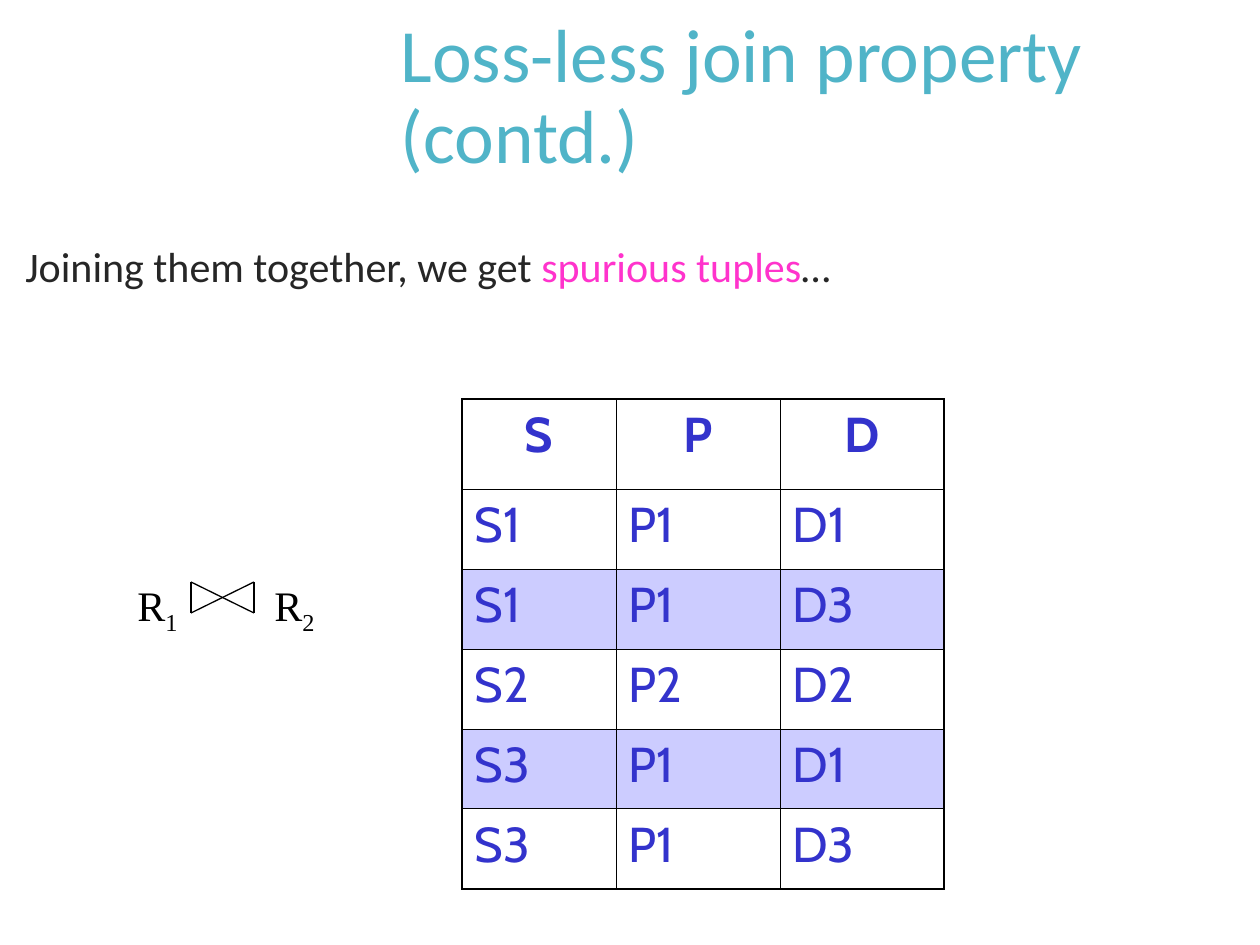
import dataclasses

import pptx
import pptx.dml.color
import pptx.enum.shapes
import pptx.enum.text
import pptx.oxml
import pptx.oxml.ns
import pptx.util

EMU_PER_PX = 914400 / 126
BLACK = "000000"
INK = "262626"
NAVY = "3333CC"
LILAC = "CCCCFF"
OUTER_BORDER, INNER_BORDER = 1.08, 0.45


@dataclasses.dataclass(frozen=True)
class Span:
    text: str
    font: str
    size: int
    color: str
    bold: bool = False
    baseline: int = 0


@dataclasses.dataclass(frozen=True)
class Stroke:
    x1: int
    y1: int
    x2: int
    y2: int


@dataclasses.dataclass(frozen=True)
class JoinRow:
    values: tuple[str, str, str]
    header: bool = False
    spurious: bool = False


JOIN_ROWS = (
    JoinRow(("S", "P", "D"), header=True),
    JoinRow(("S1", "P1", "D1")),
    JoinRow(("S1", "P1", "D3"), spurious=True),
    JoinRow(("S2", "P2", "D2")),
    JoinRow(("S3", "P1", "D1"), spurious=True),
    JoinRow(("S3", "P1", "D3")),
)
COLUMN_WIDTHS = (154, 164, 164)
ROW_HEIGHTS = tuple(90 if row.header else 80 for row in JOIN_ROWS)


def px(length: int) -> pptx.util.Emu:
    return pptx.util.Emu(round(length * EMU_PER_PX))


def rgb(value: str) -> pptx.dml.color.RGBColor:
    return pptx.dml.color.RGBColor.from_string(value)


def add_spans(para, *spans: Span) -> None:
    for span in spans:
        run = para.add_run()
        run.text = span.text
        run.font.name = span.font
        run.font.size = pptx.util.Pt(span.size)
        run.font.bold = span.bold
        run.font.color.rgb = rgb(span.color)
        if span.baseline:
            run.font._element.set("baseline", str(span.baseline * 1000))


def add_text_box(shapes, left: int, top: int, width: int, height: int):
    box = shapes.add_textbox(px(left), px(top), px(width), px(height))
    box.text_frame.word_wrap = True
    return box


def fill_title(title) -> None:
    title.left, title.top, title.width, title.height = map(px, (388, 50, 872, 97))
    frame = title.text_frame
    frame.word_wrap = True
    frame.auto_size = pptx.enum.text.MSO_AUTO_SIZE.NONE
    frame.vertical_anchor = pptx.enum.text.MSO_ANCHOR.MIDDLE
    para = frame.paragraphs[0]
    para.alignment = pptx.enum.text.PP_ALIGN.LEFT
    para.line_spacing = 0.9
    add_spans(para, Span("Loss-less join property (contd.)", "Calibri", 43, "50B4C8"))


def add_statement(shapes) -> None:
    box = add_text_box(shapes, 13, 242, 1058, 588)
    para = box.text_frame.paragraphs[0]
    para.line_spacing = 0.85
    add_spans(
        para,
        Span("Joining them together, we get ", "Calibri", 24, INK),
        Span("spurious tuples", "Calibri", 24, "FF33CC"),
        Span("…", "Calibri", 24, INK),
    )


def set_borders(cell, row: int, column: int) -> None:
    outer_sides = {
        "lnL": column == 0,
        "lnR": column == len(COLUMN_WIDTHS) - 1,
        "lnT": row == 0,
        "lnB": row == len(ROW_HEIGHTS) - 1,
    }
    properties = cell._tc.get_or_add_tcPr()
    for side, outer in outer_sides.items():
        width = pptx.util.Pt(OUTER_BORDER if outer else INNER_BORDER)
        properties.append(pptx.oxml.parse_xml(
            f'<a:{side} {pptx.oxml.ns.nsdecls("a")} w="{int(width)}">'
            f'<a:solidFill><a:srgbClr val="{BLACK}"/></a:solidFill></a:{side}>'
        ))


def add_join_table(shapes) -> None:
    frame = shapes.add_table(
        len(ROW_HEIGHTS), len(COLUMN_WIDTHS), px(462), px(399),
        px(sum(COLUMN_WIDTHS)), px(sum(ROW_HEIGHTS)),
    )
    table = frame.table
    table.horz_banding = False
    for column, width in zip(table.columns, COLUMN_WIDTHS):
        column.width = px(width)
    for row, height in zip(table.rows, ROW_HEIGHTS):
        row.height = px(height)
    for row, join_row in enumerate(JOIN_ROWS):
        for column, value in enumerate(join_row.values):
            cell = table.cell(row, column)
            set_borders(cell, row, column)
            if join_row.spurious:
                cell.fill.solid()
                cell.fill.fore_color.rgb = rgb(LILAC)
            else:
                cell.fill.background()
            para = cell.text_frame.paragraphs[0]
            if join_row.header:
                para.alignment = pptx.enum.text.PP_ALIGN.CENTER
            add_spans(para, Span(value, "Cabin", 28, NAVY, bold=join_row.header))


def add_stroke(shapes, stroke: Stroke) -> None:
    line = shapes.add_connector(
        pptx.enum.shapes.MSO_CONNECTOR.STRAIGHT,
        px(stroke.x1), px(stroke.y1), px(stroke.x2), px(stroke.y2),
    )
    line.line.color.rgb = rgb(BLACK)
    line.line.width = pptx.util.Pt(0.75)
    line._element.spPr.append(
        pptx.oxml.parse_xml(f'<a:effectLst {pptx.oxml.ns.nsdecls("a")}/>')
    )


def add_join_expression(shapes) -> None:
    group = shapes.add_group_shape()
    box = add_text_box(group.shapes, 125, 573, 202, 71)
    para = box.text_frame.paragraphs[0]
    para._p.get_or_add_pPr().append(pptx.oxml.parse_xml(
        f'<a:tabLst {pptx.oxml.ns.nsdecls("a")}>'
        f'<a:tab pos="{int(px(137))}" algn="l"/></a:tabLst>'
    ))
    serif = "Times New Roman"
    add_spans(
        para,
        Span("R", serif, 24, BLACK),
        Span("1\t", serif, 24, BLACK, baseline=-25),
        Span("R", serif, 24, BLACK),
        Span("2", serif, 24, BLACK, baseline=-25),
    )
    left, top, right, bottom = 191, 582, 254, 613
    for stroke in (
        Stroke(left, bottom, left, top),
        Stroke(left, top, right, bottom),
        Stroke(left, bottom, right, top),
        Stroke(right, top, right, bottom),
    ):
        add_stroke(group.shapes, stroke)


def main() -> None:
    deck = pptx.Presentation()
    deck.slide_width, deck.slide_height = px(1260), px(945)
    page = deck.slides.add_slide(deck.slide_layouts[5])
    fill_title(page.shapes.title)
    add_statement(page.shapes)
    add_join_table(page.shapes)
    add_join_expression(page.shapes)
    deck.save("out.pptx")


if __name__ == "__main__":
    main()
